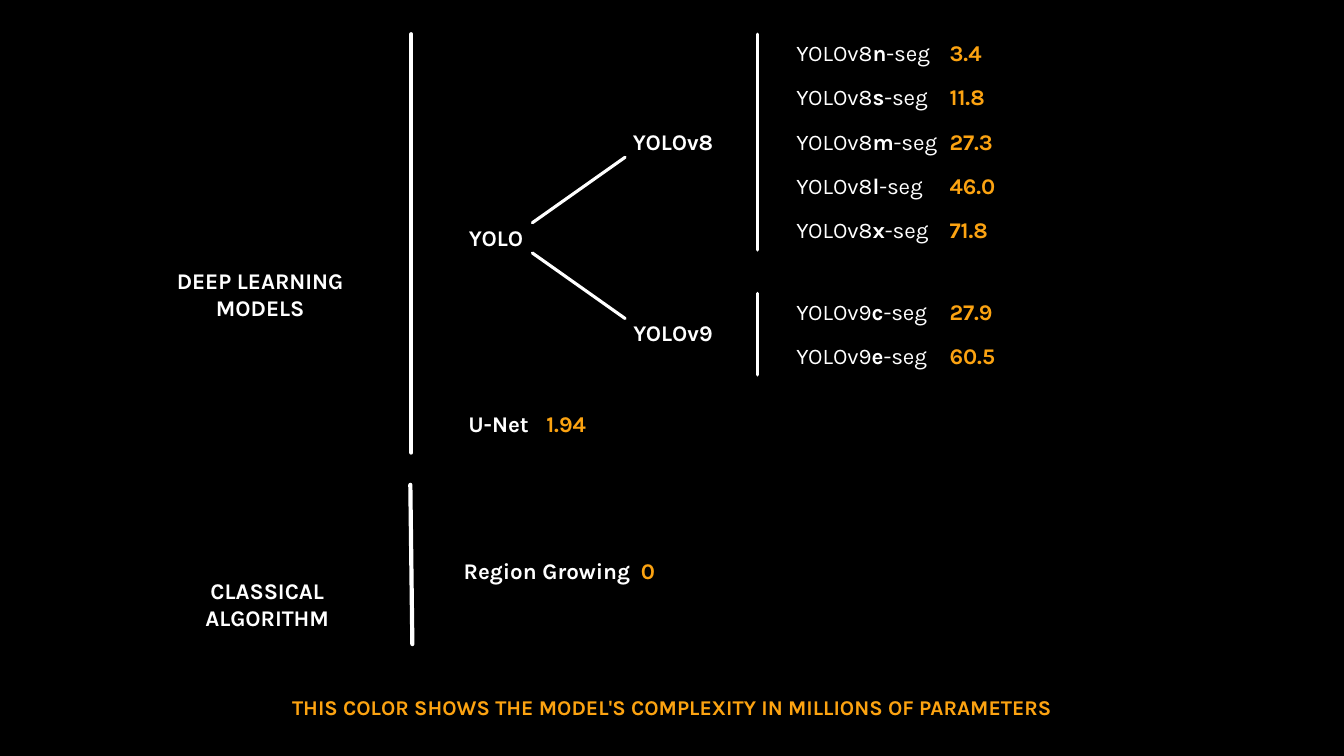
from dataclasses import dataclass

import pptx
import pptx.dml.color
import pptx.enum.shapes
import pptx.enum.text
import pptx.oxml.ns
import pptx.util
from lxml import etree
from pptx.util import Inches

ALIGN = pptx.enum.text.PP_ALIGN


@dataclass(frozen=True)
class Theme:
    font: str = "Karla"
    background: str = "000000"
    text: str = "FFFFFF"
    accent: str = "FCA311"
    body_size: float = 16
    legend_size: float = 15
    divider_width: float = 3
    branch_width: float = 2.25


THEME = Theme()
ROW_HEIGHT = 0.37
ROW_PITCH = 0.44
VARIANT_LEFT = 7.8
VALUE_TAB = 1.52


def rgb(color):
    return pptx.dml.color.RGBColor.from_string(color)


def format_run(run, color, size, bold):
    run.font.name = THEME.font
    run.font.size = pptx.util.Pt(size)
    run.font.bold = bold
    run.font.color.rgb = rgb(color)


def add_text_box(slide, left, top, width, height):
    shape = slide.shapes.add_textbox(Inches(left), Inches(top), Inches(width), Inches(height))
    shape.text_frame.word_wrap = True
    return shape.text_frame.paragraphs[0]


def add_label(slide, text, left, top, width, height=ROW_HEIGHT, color=THEME.text, size=THEME.body_size):
    paragraph = add_text_box(slide, left, top, width, height)
    paragraph.text = text
    paragraph.alignment = ALIGN.CENTER
    format_run(paragraph.runs[0], color, size, True)


def add_line(slide, start, end, width):
    connector = slide.shapes.add_connector(
        pptx.enum.shapes.MSO_CONNECTOR.STRAIGHT, *map(Inches, start + end)
    )
    connector.line.color.rgb = rgb(THEME.text)
    connector.line.width = pptx.util.Pt(width)
    properties = connector._element.spPr
    properties.find(pptx.oxml.ns.qn("a:ln")).set("cap", "rnd")
    etree.SubElement(properties, pptx.oxml.ns.qn("a:effectLst"))


def add_value_tab(paragraph):
    properties = paragraph._p.get_or_add_pPr()
    tabs = etree.SubElement(properties, pptx.oxml.ns.qn("a:tabLst"))
    etree.SubElement(
        tabs, pptx.oxml.ns.qn("a:tab"), pos=str(int(Inches(VALUE_TAB))), algn="l"
    )


def add_variant(slide, family, variant, complexity, top):
    paragraph = add_text_box(slide, VARIANT_LEFT, top, 2.73, ROW_HEIGHT)
    add_value_tab(paragraph)
    for text, color, bold in (
        (family, THEME.text, False),
        (variant, THEME.text, True),
        ("-seg\t", THEME.text, False),
        (complexity, THEME.accent, True),
    ):
        run = paragraph.add_run()
        run.text = text
        format_run(run, color, THEME.body_size, bold)


def add_family(slide, family, label_top, branch, list_top, list_bottom, variants):
    add_label(slide, family, 5.75, label_top, 1.85)
    add_line(slide, *branch, THEME.branch_width)
    add_line(slide, (7.51, list_top), (7.51, list_bottom), THEME.branch_width)
    for row, (variant, complexity) in enumerate(variants):
        add_variant(slide, family, variant, complexity, list_top + row * ROW_PITCH)


def main():
    presentation = pptx.Presentation()
    presentation.slide_width = Inches(13.33)
    presentation.slide_height = Inches(7.5)
    slide = presentation.slides.add_slide(presentation.slide_layouts[6])
    slide.background.fill.solid()
    slide.background.fill.fore_color.rgb = rgb(THEME.background)

    add_label(slide, "DEEP LEARNING MODELS", 1.47, 2.6, 2.22, 0.64)
    add_line(slide, (4.08, 0.34), (4.08, 4.49), THEME.divider_width)
    add_label(slide, "YOLO", 4.09, 2.17, 1.66)
    add_family(
        slide, "YOLOv8", 1.22, ((5.28, 2.21), (6.2, 1.56)), 0.34, 2.48,
        [("n", "3.4"), ("s", "11.8"), ("m", "27.3"), ("l", "46.0"), ("x", "71.8")],
    )
    add_family(
        slide, "YOLOv9", 3.12, ((5.28, 2.51), (6.2, 3.16)), 2.91, 3.72,
        [("c", "27.9"), ("e", "60.5")],
    )
    add_label(slide, "U-Net", 3.91, 4.02, 2.07)
    add_label(slide, "1.94", 4.62, 4.02, 1.99, color=THEME.accent)

    add_label(slide, "CLASSICAL ALGORITHM", 1.54, 5.68, 2.22, 0.64)
    add_line(slide, (4.07, 4.81), (4.09, 6.39), THEME.divider_width)
    add_label(slide, "Region Growing", 4.39, 5.48, 2.07)
    add_label(slide, "0", 5.43, 5.48, 1.99, color=THEME.accent)

    add_label(
        slide, "THIS COLOR SHOWS THE MODEL'S COMPLEXITY IN MILLIONS OF PARAMETERS",
        1.97, 6.84, 9.39, 0.35, THEME.accent, THEME.legend_size,
    )
    presentation.save("out.pptx")


if __name__ == "__main__":
    main()
